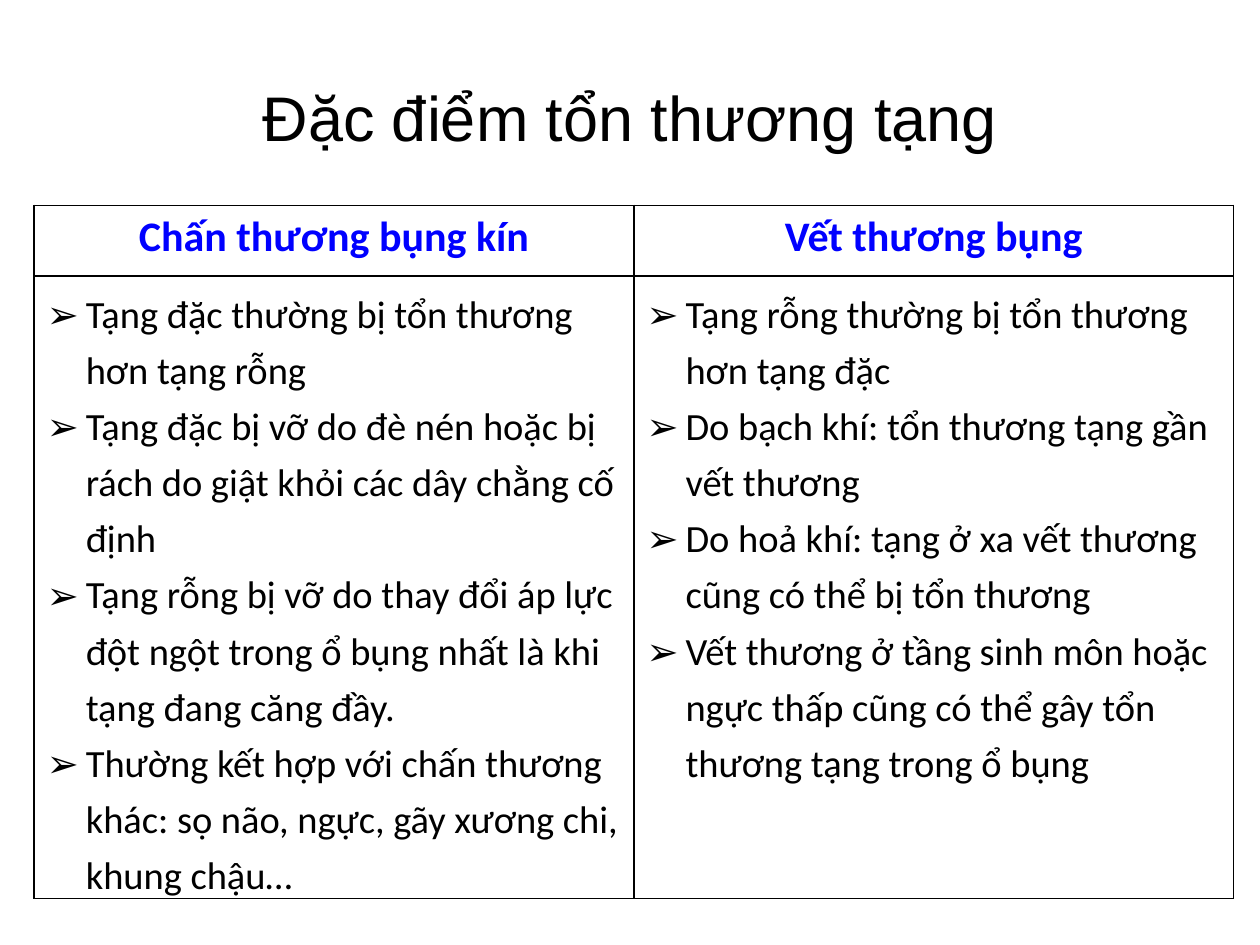
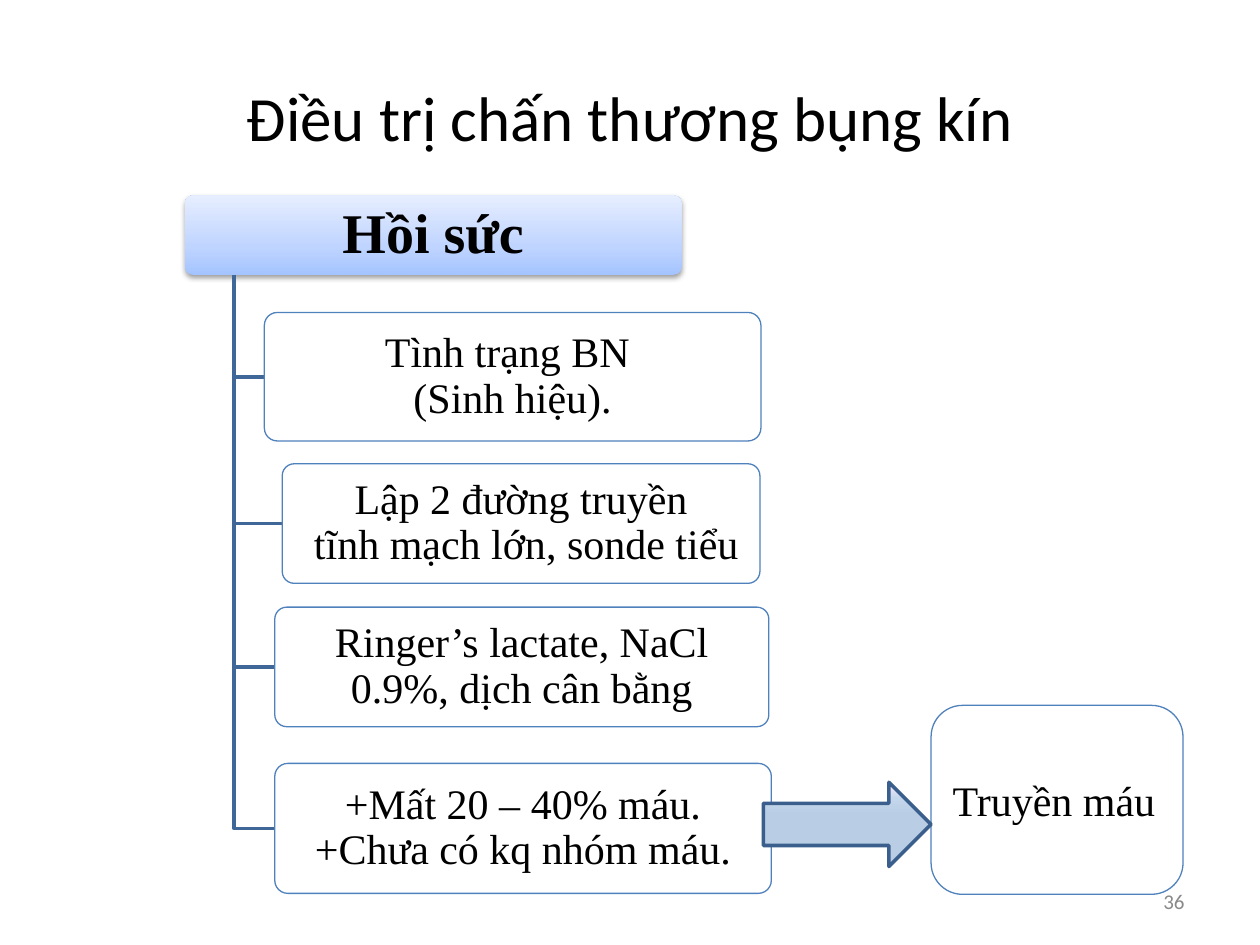
from lxml.etree import SubElement
from pptx import Presentation
from pptx.dml.color import RGBColor
from pptx.enum.shapes import MSO_SHAPE
from pptx.enum.text import MSO_ANCHOR, PP_ALIGN
from pptx.oxml import parse_xml
from pptx.oxml.ns import nsdecls, qn
from pptx.util import Cm, Pt

BLACK = RGBColor(0x00, 0x00, 0x00)
WHITE = RGBColor(0xFF, 0xFF, 0xFF)
HEADER_BLUE = RGBColor(0x00, 0x00, 0xFF)
BOX_LINE = RGBColor(0x4F, 0x81, 0xBD)
BRANCH_LINE = RGBColor(0x3F, 0x67, 0x97)
ARROW_LINE = RGBColor(0x3A, 0x5F, 0x8C)
NUMBER_GREY = RGBColor(0x89, 0x89, 0x89)
ROOT_STOPS = [(0, RGBColor(0xA4, 0xC4, 0xFF)), (35, RGBColor(0xBF, 0xD4, 0xFF)),
              (100, RGBColor(0xE6, 0xEE, 0xFF))]
ARROW_STOPS = [(62, RGBColor(0xB9, 0xCD, 0xE5)), (81, RGBColor(0xC4, 0xD6, 0xEB)),
               (100, RGBColor(0xFF, 0xEB, 0xFA))]

SANS = "Calibri"
SERIF = "Times New Roman"
BULLET_INDENT = Cm(0.79)

INJURY_TABLE = [
    ("Chấn thương bụng kín", [
        "Tạng đặc thường bị tổn thương hơn tạng rỗng",
        "Tạng đặc bị vỡ do đè nén hoặc bị rách do giật khỏi các dây chằng cố định",
        "Tạng rỗng bị vỡ do thay đổi áp lực đột ngột trong ổ bụng nhất là khi "
        "tạng đang căng đầy.",
        "Thường kết hợp với chấn thương khác: sọ não, ngực, gãy xương chi, khung chậu…",
    ]),
    ("Vết thương bụng", [
        "Tạng rỗng thường bị tổn thương hơn tạng đặc",
        "Do bạch khí: tổn thương tạng gần vết thương",
        "Do hoả khí: tạng ở xa vết thương cũng có thể bị tổn thương",
        "Vết thương ở tầng sinh môn hoặc ngực thấp cũng có thể gây tổn thương "
        "tạng trong ổ bụng",
    ]),
]

# Left, top, width and height in centimetres, then the lines of text
RESUSCITATION_STEPS = [
    ((5.33, 6.3, 10.01, 2.59), ["Tình trạng BN ", "(Sinh hiệu)."]),
    ((5.69, 9.35, 9.63, 2.41), ["Lập 2 đường truyền", " tĩnh mạch lớn, sonde tiểu"]),
    ((5.54, 12.24, 9.96, 2.41), ["Ringer’s lactate, NaCl 0.9%, dịch cân bằng"]),
    ((5.54, 15.39, 10.01, 2.62), ["+Mất 20 – 40% máu.", "+Chưa có kq nhóm máu."]),
]


def write(paragraph, lines, size, font=SANS, color=BLACK, bold=False,
          align=PP_ALIGN.CENTER):
    """Fill a paragraph with runs, parted by line breaks."""
    paragraph.alignment = align
    for index, line in enumerate(lines):
        if index:
            paragraph.add_line_break()
        run = paragraph.add_run()
        run.text = line
        run.font.size = Pt(size)
        run.font.name = font
        run.font.bold = bold
        run.font.color.rgb = color


def add_text(slide, box, text, size, **style):
    shape = slide.shapes.add_textbox(*map(Cm, box))
    frame = shape.text_frame
    frame.word_wrap = True
    frame.vertical_anchor = MSO_ANCHOR.MIDDLE
    write(frame.paragraphs[0], [text], size, **style)


def add_title(slide, text, font=SANS):
    add_text(slide, (1.27, 0.76, 22.86, 3.18), text, 36, font=font)


def set_bullet(paragraph):
    properties = paragraph._p.get_or_add_pPr()
    properties.set("marL", str(BULLET_INDENT))
    properties.set("indent", str(-BULLET_INDENT))
    SubElement(properties, qn("a:buFont"), typeface="Arial")
    SubElement(properties, qn("a:buChar"), char="➢")


def style_cell(cell):
    """Give a cell no fill and a thin black border on every side."""
    properties = cell._tc.get_or_add_tcPr()
    for side in ("lnL", "lnR", "lnT", "lnB"):
        properties.append(parse_xml(
            f'<a:{side} {nsdecls("a")} w="{Pt(1)}"><a:solidFill>'
            f'<a:srgbClr val="{BLACK}"/></a:solidFill></a:{side}>'))
    cell.fill.background()
    cell.margin_left = cell.margin_right = Cm(0.25)
    cell.margin_top = cell.margin_bottom = Cm(0.13)


def add_comparison_table(slide, columns):
    table = slide.shapes.add_table(
        2, len(columns), Cm(0.69), Cm(4.14), Cm(24.18), Cm(13.82)).table
    table.first_row = table.horz_banding = False
    table.rows[0].height = Cm(1.42)
    table.rows[1].height = Cm(12.4)
    for index, (heading, points) in enumerate(columns):
        header, body = table.cell(0, index), table.cell(1, index)
        style_cell(header)
        style_cell(body)
        write(header.text_frame.paragraphs[0], [heading], 24,
              color=HEADER_BLUE, bold=True)
        frame = body.text_frame
        for number, point in enumerate(points):
            paragraph = frame.add_paragraph() if number else frame.paragraphs[0]
            set_bullet(paragraph)
            paragraph.line_spacing = 1.2
            write(paragraph, [point], 22, align=PP_ALIGN.LEFT)


def add_shape(slide, kind, box, line_color=None, line_width=0.75):
    shape = slide.shapes.add_shape(kind, *map(Cm, box))
    shape.shadow.inherit = False
    shape.fill.background()
    if line_color is None:
        shape.line.fill.background()
    else:
        shape.line.color.rgb = line_color
        shape.line.width = Pt(line_width)
    return shape


def fill_upward(shape, stops):
    """Set a gradient that runs from the bottom to the top."""
    marks = "".join(f'<a:gs pos="{position * 1000}"><a:srgbClr val="{color}"/></a:gs>'
                    for position, color in stops)
    gradient = parse_xml(f'<a:gradFill {nsdecls("a")} rotWithShape="1">'
                         f'<a:gsLst>{marks}</a:gsLst>'
                         f'<a:lin ang="16200000" scaled="0"/></a:gradFill>')
    properties = shape._element.spPr
    properties.replace(properties.find(qn("a:noFill")), gradient)


def add_soft_shadow(shape):
    effects = shape._element.spPr.find(qn("a:effectLst"))
    effects.append(parse_xml(
        f'<a:outerShdw {nsdecls("a")} blurRad="{Pt(3.1)}" dist="{Pt(1.6)}" '
        f'dir="5400000" rotWithShape="0"><a:srgbClr val="{BLACK}">'
        f'<a:alpha val="38000"/></a:srgbClr></a:outerShdw>'))


def label_box(shape, lines, size, side_margin, edge_margin, bold=False):
    shape.adjustments[0] = 0.1
    frame = shape.text_frame
    frame.word_wrap = True
    frame.vertical_anchor = MSO_ANCHOR.MIDDLE
    frame.margin_left = frame.margin_right = Cm(side_margin)
    frame.margin_top = frame.margin_bottom = Cm(edge_margin)
    frame.paragraphs[0].line_spacing = 0.9
    write(frame.paragraphs[0], lines, size, font=SERIF, bold=bold)


def add_branch(slide, trunk, box):
    """Draw an elbow from the trunk point to the middle of a box's left side."""
    left, top, _, height = box
    trunk_x, trunk_y = map(Cm, trunk)
    middle = Cm(top + height / 2)
    builder = slide.shapes.build_freeform(trunk_x, trunk_y)
    builder.add_line_segments([(trunk_x, middle), (Cm(left), middle)], close=False)
    elbow = builder.convert_to_shape()
    elbow.shadow.inherit = False
    elbow.fill.background()
    elbow.line.color.rgb = BRANCH_LINE
    elbow.line.width = Pt(2)


def add_resuscitation_tree(slide):
    root = add_shape(slide, MSO_SHAPE.ROUNDED_RECTANGLE, (3.73, 3.94, 10.01, 1.6))
    fill_upward(root, ROOT_STOPS)
    add_soft_shadow(root)
    label_box(root, ["Hồi sức"], 32, 0.18, 0.1, bold=True)
    for box, lines in RESUSCITATION_STEPS:
        add_branch(slide, (4.72, 5.54), box)
        step = add_shape(slide, MSO_SHAPE.ROUNDED_RECTANGLE, box, BOX_LINE)
        step.fill.solid()
        step.fill.fore_color.rgb = WHITE
        label_box(step, lines, 24, 0.13, 0.08)


def add_transfusion(slide):
    target = add_shape(slide, MSO_SHAPE.ROUNDED_RECTANGLE,
                       (18.77, 14.22, 5.08, 3.81), BOX_LINE)
    target.text_frame.vertical_anchor = MSO_ANCHOR.MIDDLE
    write(target.text_frame.paragraphs[0], ["Truyền máu"], 24, font=SERIF,
          align=PP_ALIGN.LEFT)
    arrow = add_shape(slide, MSO_SHAPE.RIGHT_ARROW, (15.39, 15.77, 3.38, 1.7),
                      ARROW_LINE, 2)
    fill_upward(arrow, ARROW_STOPS)


def main():
    presentation = Presentation()
    presentation.slide_width = Cm(25.4)
    presentation.slide_height = Cm(19.05)
    blank = presentation.slide_layouts[6]

    injuries = presentation.slides.add_slide(blank)
    add_title(injuries, "Đặc điểm tổn thương tạng", font="Arial")
    add_comparison_table(injuries, INJURY_TABLE)

    treatment = presentation.slides.add_slide(blank)
    add_title(treatment, "Điều trị chấn thương bụng kín")
    add_text(treatment, (18.21, 17.65, 5.92, 1.02), "36", 12,
             color=NUMBER_GREY, align=PP_ALIGN.RIGHT)
    add_resuscitation_tree(treatment)
    add_transfusion(treatment)

    presentation.save("out.pptx")


if __name__ == "__main__":
    main()
